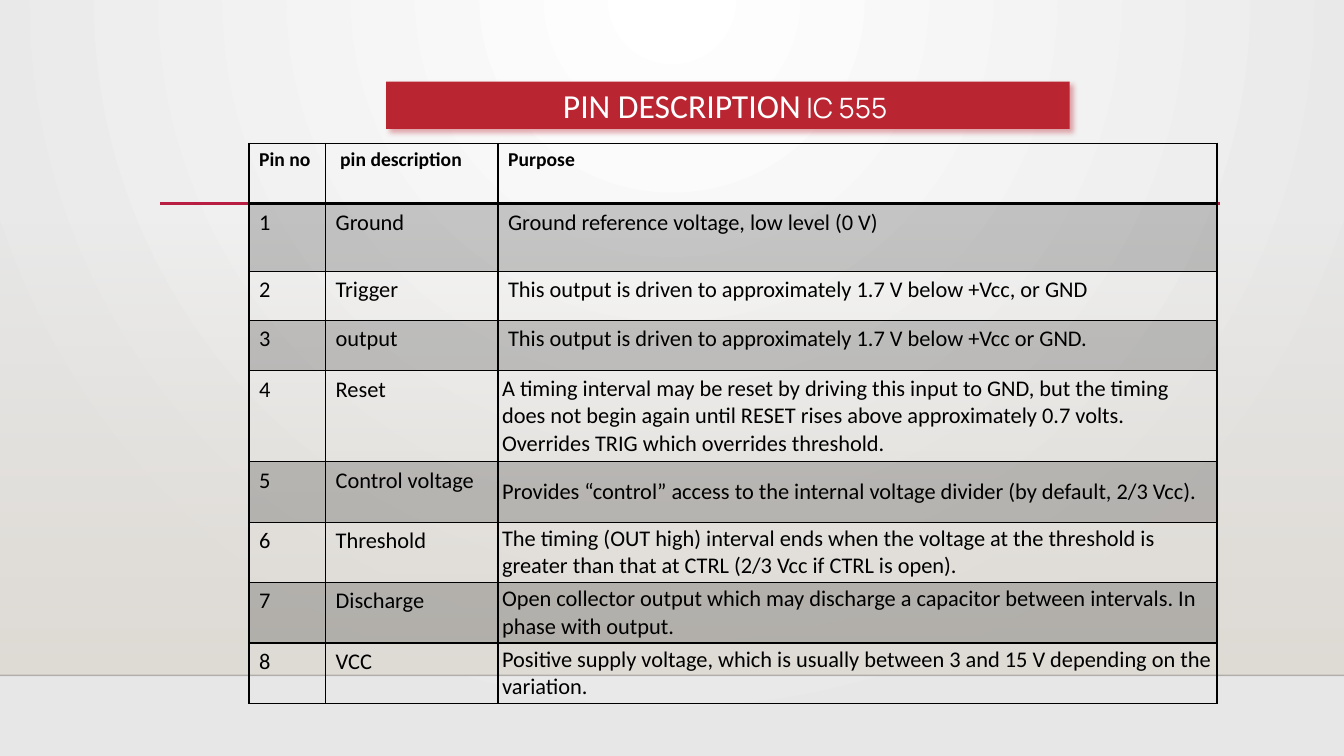
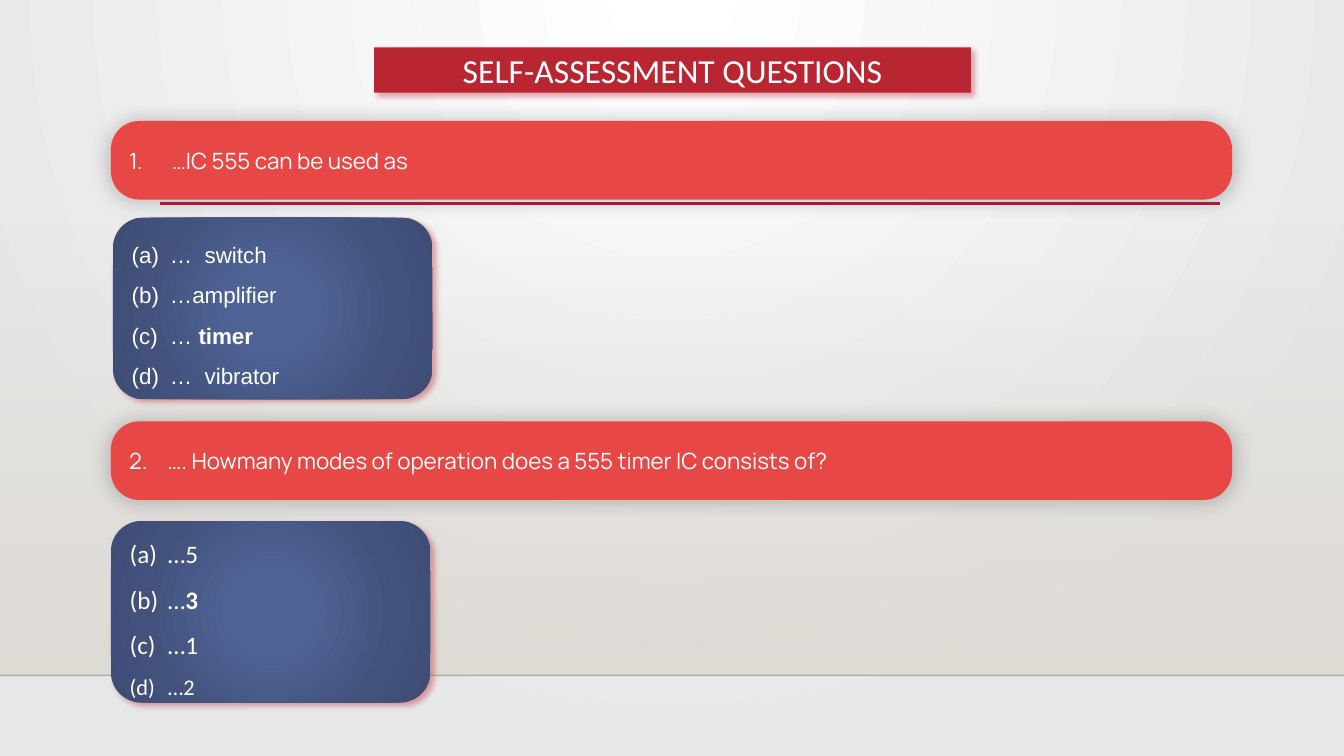
"""Build two slides on the 555 timer: a pin table and self-assessment questions."""
from dataclasses import dataclass

from lxml.etree import SubElement
from pptx import Presentation
from pptx.dml.color import RGBColor
from pptx.enum.shapes import MSO_CONNECTOR as Connector, MSO_SHAPE as Preset
from pptx.enum.text import MSO_ANCHOR as Anchor, MSO_AUTO_SIZE as AutoSize, PP_ALIGN as Align
from pptx.oxml.ns import qn
from pptx.util import Inches, Pt


@dataclass(frozen=True)
class Theme:
    white: str = "FFFFFF"
    black: str = "000000"
    edge: str = "E7E7E7"
    floor: str = "DFDBD5"
    rule: str = "B71E42"
    banner: str = "BA2532"
    question: str = "E84845"
    answer_light: str = "4E6294"
    answer_mid: str = "42527C"
    answer_dark: str = "3E4D74"
    body_font: str = "Calibri"
    light_font: str = "Manrope"
    plain_font: str = "Arial"
    title_size: int = 24
    subtitle_size: int = 20
    large_size: int = 18
    body_size: int = 16
    header_size: int = 14


def node(parent, tag, **attributes):
    return SubElement(parent, qn(tag), {name: str(value) for name, value in attributes.items()})


def write(para, text, color, **values):
    span = para.add_run()
    span.text = text
    for name, value in values.items():
        setattr(span.font, name, Pt(value) if name == "size" else value)
    span.font.color.rgb = RGBColor.from_string(color)


theme = Theme()
soft_red = (theme.banner, 40, 4, 3, 45)
soft_black = (theme.black, 25, 15, 0, 0)
gradients = []
shadows = []

deck = Presentation()
deck.slide_width, deck.slide_height = Inches(13.33), Inches(7.5)
layout = deck.slide_layouts[5]
for holder in list(layout.placeholders):
    if holder.placeholder_format.idx >= 10:
        holder.element.getparent().remove(holder.element)

title_style = {"size": theme.title_size, "name": theme.body_font}
subtitle_style = {"size": theme.subtitle_size, "name": theme.light_font}
titles = [
    ((3.83, 0.81, 6.78, 0.47), [("PIN DESCRIPTION", title_style), (" IC 555 ", subtitle_style)]),
    ((3.71, 0.47, 5.92, 0.45), [("SELF-ASSESSMENT QUESTIONS", title_style)]),
]
pages = []
for place, spans in titles:
    page = deck.slides.add_slide(layout)
    pages.append(page)
    title = page.shapes.title
    title.left, title.top, title.width, title.height = map(Inches, place)
    node(node(title.element.spPr, "a:prstGeom", prst="roundRect"), "a:avLst")
    title.fill.solid()
    title.fill.fore_color.rgb = RGBColor.from_string(theme.banner)
    shadows.append((title, soft_red))
    frame = title.text_frame
    frame.auto_size = AutoSize.NONE
    frame.vertical_anchor = Anchor.MIDDLE
    para = frame.paragraphs[0]
    para.alignment = Align.CENTER
    for text, style in spans:
        write(para, text, theme.white, **style)
pin_page, quiz_page = pages

layout.background.fill.solid()
backdrop = layout.element.find(".//" + qn("p:bgPr"))
gradients.append((backdrop, [(0, theme.white, 100), (100, theme.edge, 100)], (43, 0, 43, 100)))
floor = pin_page.shapes.add_shape(Preset.RECTANGLE, 0, Inches(2.21), deck.slide_width, Inches(4.49))
floor.shadow.inherit = False
floor.fill.solid()
floor.line.fill.background()
gradients.append((floor.element.spPr, [(0, theme.floor, 0), (100, theme.floor, 100)], None))
layout.shapes.element.append(floor.element)

for left, right, top, color, width, alpha in [
    (0, 13.33, 6.7, theme.black, 1, 20),
    (1.59, 12.1, 2.02, theme.rule, 2.5, 100),
]:
    rule = pin_page.shapes.add_connector(
        Connector.STRAIGHT, Inches(left), Inches(top), Inches(right), Inches(top))
    rule.line.width = Pt(width)
    rule.line.color.rgb = RGBColor.from_string(color)
    node(rule.element.spPr.find(".//" + qn("a:srgbClr")), "a:alpha", val=alpha * 1000)
    node(rule.element.spPr, "a:effectLst")
    layout.shapes.element.append(rule.element)

pins = [
    ("Pin no", " pin description", "Purpose"),
    ("1", "Ground", "Ground reference voltage, low level (0 V)"),
    ("2", "Trigger", "This output is driven to approximately 1.7 V below +Vcc, or GND"),
    ("3", "output", "This output is driven to approximately 1.7 V below +Vcc or GND."),
    ("4", "Reset", "A timing interval may be reset by driving this input to GND, but the timing "
     "does not begin again until RESET rises above approximately 0.7 volts. "
     "Overrides TRIG which overrides threshold."),
    ("5", "Control voltage",
     "Provides “control” access to the internal voltage divider (by default, 2/3 Vcc)."),
    ("6", "Threshold", "The timing (OUT high) interval ends when the voltage at the threshold is "
     "greater than that at CTRL (2/3 Vcc if CTRL is open)."),
    ("7", "Discharge", "Open collector output which may discharge a capacitor between intervals. "
     "In phase with output."),
    ("8", "VCC", "Positive supply voltage, which is usually between 3 and 15 V depending on the "
     "variation."),
]
widths = [0.76, 1.71, 7.13]
heights = [0.6, 0.67, 0.49, 0.5, 0.9, 0.6, 0.6, 0.6, 0.6]
tight = {
    "vertical_anchor": Anchor.MIDDLE,
    "margin_left": Inches(0.04), "margin_right": Inches(0.04),
    "margin_top": Inches(0.02), "margin_bottom": Inches(0.02),
}
table = pin_page.shapes.add_table(
    len(heights), len(widths), Inches(2.47), Inches(1.42),
    Inches(sum(widths)), Inches(sum(heights))).table
table.first_row = table.horz_banding = False
for column, width in zip(table.columns, widths):
    column.width = Inches(width)
for row, height in zip(table.rows, heights):
    row.height = Inches(height)

for row_index, values in enumerate(pins):
    header = row_index == 0
    for column_index, text in enumerate(values):
        cell = table.cell(row_index, column_index)
        if row_index >= 4 and column_index == 2:
            for name, value in tight.items():
                setattr(cell, name, value)
        write(cell.text_frame.paragraphs[0], text, theme.black, name=theme.body_font,
              size=theme.header_size if header else theme.body_size, bold=header)
        properties = cell._tc.get_or_add_tcPr()
        for side in "LRTB":
            thick = (row_index, side) in [(0, "B"), (1, "T")]
            border = node(properties, f"a:ln{side}", w=Pt(2 if thick else 1))
            node(node(border, "a:solidFill"), "a:srgbClr", val=theme.black)
        if row_index % 2:
            cell.fill.solid()
            cell.fill.fore_color.rgb = RGBColor.from_string(theme.black)
            node(properties.find(qn("a:solidFill"))[0], "a:alpha", val=20000)
        else:
            cell.fill.background()

answer_stops = [(0, theme.answer_light, 100), (23, theme.answer_light, 100),
                (69, theme.answer_mid, 100), (97, theme.answer_dark, 100)]
question_style = {"size": theme.body_size, "name": theme.light_font}
arial = {"size": theme.body_size, "name": theme.plain_font}
calibri = {"size": theme.large_size, "name": theme.body_font}
question_number = {"type": "arabicPeriod"}
answer_letter = {"type": "alphaLcParenBoth"}
cards = [
    ((1.1, 1.2, 11.12, 0.78), question_number, question_style, [[(" …IC 555 can be used as", {})]]),
    ((1.12, 2.16, 3.17, 1.8), answer_letter, arial, [
        [("…  switch", {})],
        [("…amplifier", {})],
        [("… ", {}), ("timer", {"bold": True})],
        [("…  vibrator", {})],
    ]),
    ((1.1, 4.18, 11.12, 0.78), question_number | {"startAt": 2}, question_style,
     [[("…. Howmany modes of operation does a 555 timer IC consists of?", {})]]),
    ((1.1, 5.17, 3.17, 1.8), answer_letter, calibri, [
        [("…5", {})],
        [("…", {}), ("3", {"bold": True})],
        [("…1", {})],
        [("…2", {"size": theme.body_size})],
    ]),
]
for place, numbering, style, lines in cards:
    is_answer = numbering is answer_letter
    box = quiz_page.shapes.add_shape(Preset.ROUNDED_RECTANGLE, *map(Inches, place))
    box.line.fill.background()
    box.fill.solid()
    if is_answer:
        gradients.append((box.element.spPr, answer_stops, (50, 50, 50, 50)))
    else:
        box.fill.fore_color.rgb = RGBColor.from_string(theme.question)
        box.adjustments[0] = 0.36
    shadows.append((box, soft_red if is_answer else soft_black))
    frame = box.text_frame
    frame.word_wrap = True
    frame.vertical_anchor = Anchor.MIDDLE
    for index, spans in enumerate(lines):
        para = frame.add_paragraph() if index else frame.paragraphs[0]
        para.alignment = Align.LEFT
        para.line_spacing = 1.5 if is_answer else 1.0
        indent = para._p.get_or_add_pPr()
        indent.set("marL", str(Inches(0.38)))
        indent.set("indent", str(-Inches(0.38)))
        node(indent, "a:buAutoNum", **numbering)
        for text, changes in spans:
            write(para, text, theme.white, **(style | changes))

for holder, stops, edges in gradients:
    gradient = node(holder, "a:gradFill", rotWithShape=1)
    holder.replace(holder.find(qn("a:solidFill")), gradient)
    stop_list = node(gradient, "a:gsLst")
    for position, color, alpha in stops:
        stop = node(stop_list, "a:gs", pos=position * 1000)
        node(node(stop, "a:srgbClr", val=color), "a:alpha", val=alpha * 1000)
    if edges:
        center = node(gradient, "a:path", path="circle")
        node(center, "a:fillToRect", **{side: edge * 1000 for side, edge in zip("ltrb", edges)})
    else:
        node(gradient, "a:lin", ang=90 * 60000, scaled=0)

for shape, (color, alpha, blur, distance, angle) in shadows:
    shape.shadow.inherit = False
    effects = shape.element.spPr.find(qn("a:effectLst"))
    shadow = node(effects, "a:outerShdw", blurRad=Pt(blur), dist=Pt(distance),
                  dir=angle * 60000, algn="ctr", rotWithShape=0)
    node(node(shadow, "a:srgbClr", val=color), "a:alpha", val=alpha * 1000)

deck.save("out.pptx")
